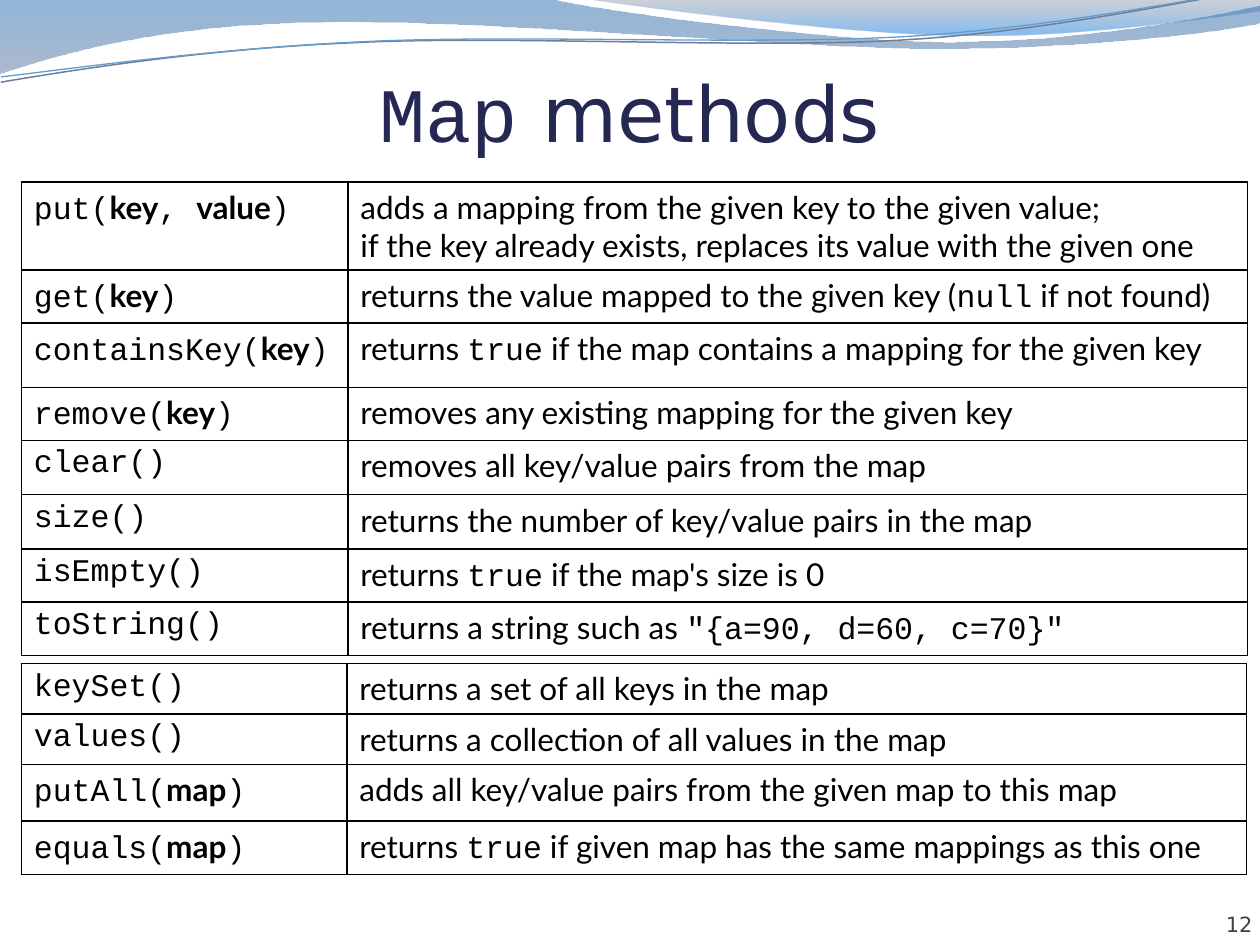
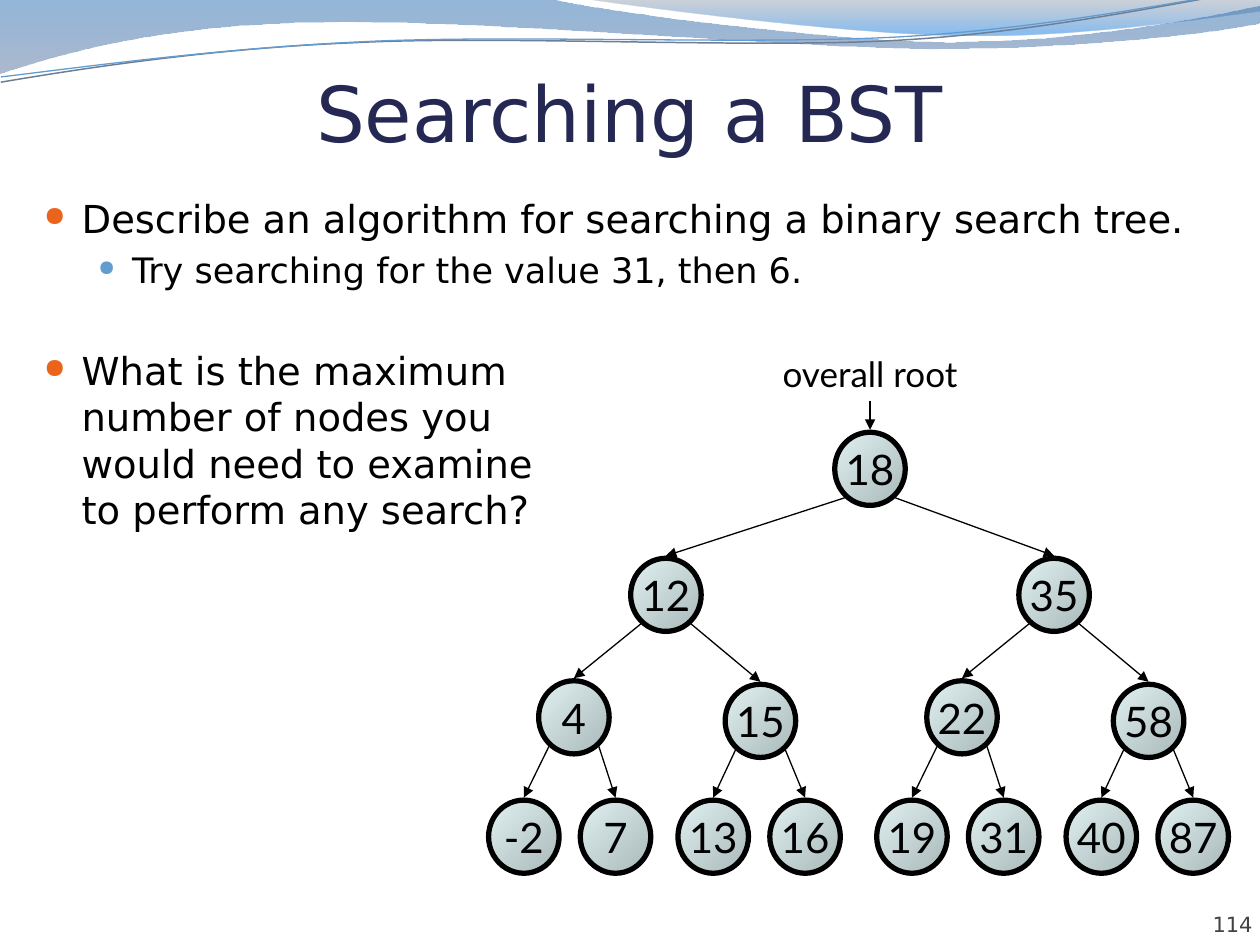
"""Build two lecture slides: the Map methods tables and searching a binary search tree."""
from itertools import cycle

from lxml.etree import SubElement
from pptx import Presentation
from pptx.dml.color import RGBColor
from pptx.enum.shapes import MSO_CONNECTOR, MSO_SHAPE
from pptx.enum.text import MSO_ANCHOR, PP_ALIGN
from pptx.oxml.ns import qn
from pptx.util import Pt

BLACK = RGBColor(0x00, 0x00, 0x00)
NAVY = RGBColor(0x24, 0x28, 0x52)
GREY = RGBColor(0x42, 0x42, 0x42)
ORANGE = RGBColor(0xEB, 0x64, 0x1B)
SKY = RGBColor(0x62, 0x9D, 0xD1)
SLATE = RGBColor(0x70, 0x7E, 0x95)
BAND_BLUE = RGBColor(0x12, 0x5E, 0xAA)
BAND_GREY = RGBColor(0x69, 0x7F, 0xA4)
CORNER_GREY = RGBColor(0x59, 0x69, 0x82)
CORNER_BLUE = RGBColor(0x06, 0x70, 0xDA)
NODE_LIGHT = RGBColor(0xE1, 0xF2, 0xF3)
NODE_DARK = RGBColor(0xA9, 0xB7, 0xB8)

SANS = "DejaVu Sans"
BODY = "Lato"
CODE = "Courier New"

WAVE_BANDS = [
    ([(0, 0), (317, 0), (343, 6.5, 478, 24, 546, 24), (614, 24, 690, 10, 720, 3.5),
      (720.5, 13.5), (708, 16.5, 626, 28, 537, 28), (448, 28, 275, 11, 185, 13),
      (93, 13.5, 33, 31, -0.5, 42), (0, 0)],
     [(0, BAND_BLUE, 45), (100, BAND_GREY, 55)]),
    ([(336, 0), (359, 3.5, 485, 19.5, 549, 20), (613, 21.5, 692, 10, 720, 6.5),
      (720, 0), (336, 0)],
     [(0, CORNER_GREY, 30), (80, CORNER_BLUE, 45)]),
]
WAVE_LINES = [
    ([(0.5, 47), (36, 41, 115, 28, 201, 24.5), (287, 20, 427, 28, 514, 23),
      (600, 18, 678, 0, 720, -6)], SLATE, 0.85),
    ([(0.5, 44), (35, 40, 120, 28, 205, 24), (291, 19.5, 430, 26, 516, 21),
      (602, 16, 678, -0.5, 720, -6)], SKY, 0.75),
]

MAIN_METHODS = [
    ("put(*key*, *value*)", "adds a mapping from the given key to the given value;\n"
     "if the key already exists, replaces its value with the given one", 50.4),
    ("get(*key*)", "returns the value mapped to the given key (`null` if not found)", 30.4),
    ("containsKey(*key*)", "returns `true` if the map contains a mapping for the given key", 36.6),
    ("remove(*key*)", "removes any existing mapping for the given key", 30.4),
    ("clear()", "removes all key/value pairs from the map", 31),
    ("size()", "returns the number of key/value pairs in the map", 31),
    ("isEmpty()", "returns `true` if the map's size is 0", 30.4),
    ("toString()", 'returns a string such as `"{a=90, d=60, c=70}"`', 30.4),
]
COLLECTION_METHODS = [
    ("keySet()", "returns a set of all keys in the map", 28.8),
    ("values()", "returns a collection of all values in the map", 28.8),
    ("putAll(*map*)", "adds all key/value pairs from the given map to this map", 32.4),
    ("equals(*map*)", "returns `true` if given map has the same mappings as this one", 30.4),
]

NODE_WIDTH, NODE_HEIGHT = 40.3, 41.8
SUBTREE_SHIFT = 221.8
LEFT_SUBTREE = [[(360.4, 319)], [(307.8, 389), (414.4, 391)],
                [(279.2, 457.2), (331.6, 457.2), (387.4, 457.2), (439.9, 457.2)]]
TREE_VALUES = [18, 12, 35, 4, 15, 22, 58, -2, 7, 13, 16, 19, 31, 40, 87]


def add_run(paragraph, text, font=SANS, size=18, color=BLACK, bold=False):
    """Add formatted text to a paragraph, with a line break at each newline."""
    for index, line in enumerate(text.split("\n")):
        if index:
            paragraph.add_line_break()
        run = paragraph.add_run()
        run.text = line
        run.font.name, run.font.size, run.font.bold = font, Pt(size), bold
        run.font.color.rgb = color


def add_marked_runs(paragraph, text, mark, formats, **shared):
    """Add text whose format alternates at each mark."""
    for part, format_options in zip(text.split(mark), cycle(formats)):
        if part:
            add_run(paragraph, part, **format_options, **shared)


def set_gradient(shape, stops, angle):
    """Fill a shape with a linear gradient of (position, colour, opacity) stops."""
    shape.fill.gradient()
    gradient = shape._element.spPr.find(qn("a:gradFill"))
    stop_list = gradient.find(qn("a:gsLst"))
    for stop in list(stop_list):
        stop_list.remove(stop)
    for position, color, opacity in stops:
        stop = SubElement(stop_list, qn("a:gs"), pos=str(position * 1000))
        color_element = SubElement(stop, qn("a:srgbClr"), val=str(color))
        if opacity < 100:
            SubElement(color_element, qn("a:alpha"), val=str(opacity * 1000))
    gradient.find(qn("a:lin")).set("ang", str(angle * 60000))


def add_outline(slide, steps, close):
    """Add a freeform of line steps (two numbers) and cubic curve steps (six numbers)."""
    points = [(Pt(x), Pt(y)) for step in steps for x, y in zip(step[::2], step[1::2])]
    builder = slide.shapes.build_freeform(*points[0])
    builder.add_line_segments(points[1:], close=close)
    shape = builder.convert_to_shape()
    shape.shadow.inherit = False
    segments = iter(list(shape._element.iter(qn("a:lnTo"))))
    for step in steps[1:]:
        segment = next(segments)
        if len(step) == 6:
            outline = segment.getparent()
            curve = SubElement(outline, qn("a:cubicBezTo"))
            outline.replace(segment, curve)
            for corner in (segment, next(segments), next(segments)):
                curve.append(corner[0])
                if corner is not segment:
                    outline.remove(corner)
    return shape


def add_waves(slide):
    """Draw the waves along the top and move them to the layout that all slides share."""
    waves = []
    for steps, stops in WAVE_BANDS:
        band = add_outline(slide, steps, close=True)
        set_gradient(band, stops, 90)
        band.line.fill.background()
        waves.append(band)
    for steps, color, width in WAVE_LINES:
        wave = add_outline(slide, steps, close=False)
        wave.fill.background()
        wave.line.color.rgb, wave.line.width = color, Pt(width)
        waves.append(wave)
    for wave in waves:
        slide.slide_layout.shapes._spTree.append(wave._element)


def add_textbox(slide, left, top, width, height, wrap=True):
    """Add an empty text box and return its text frame."""
    frame = slide.shapes.add_textbox(Pt(left), Pt(top), Pt(width), Pt(height)).text_frame
    frame.word_wrap = wrap
    return frame


def set_margins(frame, left=0, top=0, right=0, bottom=0):
    """Set the inner margins of a text frame or table cell."""
    frame.margin_left, frame.margin_top = Pt(left), Pt(top)
    frame.margin_right, frame.margin_bottom = Pt(right), Pt(bottom)


def add_titled_slide(presentation, title, number):
    """Add a slide with a title (code between backticks) and a page number."""
    slide = presentation.slides.add_slide(presentation.slide_layouts[5])
    placeholder = slide.shapes.title
    placeholder.left, placeholder.top = Pt(36), Pt(34.6)
    placeholder.width, placeholder.height = Pt(648), Pt(55.4)
    frame = placeholder.text_frame
    frame.vertical_anchor = MSO_ANCHOR.BOTTOM
    set_margins(frame, top=3.6)
    frame.paragraphs[0].alignment = PP_ALIGN.CENTER
    add_marked_runs(frame.paragraphs[0], title, "`", [{"font": SANS}, {"font": CODE}],
                    size=44, color=NAVY)

    footer = add_textbox(slide, 656, 506.2, 59.8, 28.8)
    footer.vertical_anchor = MSO_ANCHOR.BOTTOM
    set_margins(footer)
    footer.paragraphs[0].alignment = PP_ALIGN.RIGHT
    add_run(footer.paragraphs[0], str(number), size=12, color=GREY)
    return slide


def format_cell(cell):
    """Give a cell black borders, no fill and even margins."""
    properties = cell._tc.get_or_add_tcPr()
    for side in ("lnL", "lnR", "lnT", "lnB"):
        border = SubElement(properties, qn(f"a:{side}"), w=str(Pt(1)))
        SubElement(SubElement(border, qn("a:solidFill")), qn("a:srgbClr"), val=str(BLACK))
    cell.fill.background()
    set_margins(cell, 7.2, 3.6, 7.2, 3.6)


def add_method_table(slide, methods, top, column_widths):
    """Add a table of method signatures and what they do."""
    height = sum(row_height for _, _, row_height in methods)
    table = slide.shapes.add_table(len(methods), 2, Pt(12.2), Pt(top),
                                   Pt(sum(column_widths)), Pt(height)).table
    table.first_row = table.horz_banding = False
    for column, width in zip(table.columns, column_widths):
        column.width = Pt(width)
    for row, (signature, description, row_height) in zip(table.rows, methods):
        row.height = Pt(row_height)
        signature_cell, description_cell = row.cells
        format_cell(signature_cell)
        format_cell(description_cell)
        add_marked_runs(signature_cell.text_frame.paragraphs[0], signature, "*",
                        [{"font": CODE}, {"font": BODY, "bold": True}])
        add_marked_runs(description_cell.text_frame.paragraphs[0], description, "`",
                        [{"font": BODY}, {"font": CODE}])


def add_bullet(paragraph, text, size=22, margin=21.6, hanging=21.6, color=ORANGE,
               bullet_size=72, space_before=0):
    """Fill a paragraph as a bulleted item."""
    properties = paragraph._p.get_or_add_pPr()
    properties.set("marL", str(Pt(margin)))
    properties.set("indent", str(-Pt(hanging)))
    SubElement(SubElement(properties, qn("a:buClr")), qn("a:srgbClr"), val=str(color))
    SubElement(properties, qn("a:buSzPct"), val=str(bullet_size * 1000))
    SubElement(properties, qn("a:buChar"), char="●")
    if space_before:
        paragraph.space_before = Pt(space_before)
    add_run(paragraph, text, size=size)


def add_arrow(slide, start, end):
    """Draw a thin black arrow."""
    connector = slide.shapes.add_connector(
        MSO_CONNECTOR.STRAIGHT, *(Pt(value) for value in (*start, *end)))
    connector.line.color.rgb, connector.line.width = BLACK, Pt(0.75)
    SubElement(connector.line._get_or_add_ln(), qn("a:tailEnd"), type="triangle")
    SubElement(connector._element.spPr, qn("a:effectLst"))


def add_node(slide, value, left, top):
    """Draw one tree node."""
    node = slide.shapes.add_shape(MSO_SHAPE.OVAL, Pt(left), Pt(top),
                                  Pt(NODE_WIDTH), Pt(NODE_HEIGHT))
    node.shadow.inherit = False
    set_gradient(node, [(0, NODE_LIGHT, 100), (100, NODE_DARK, 100)], 45)
    node.line.color.rgb, node.line.width = BLACK, Pt(3)
    frame = node.text_frame
    frame.word_wrap = False
    frame.vertical_anchor = MSO_ANCHOR.MIDDLE
    frame.paragraphs[0].alignment = PP_ALIGN.CENTER
    add_run(frame.paragraphs[0], str(value), font=BODY, size=24)


def add_tree(slide):
    """Draw the search tree, whose right subtree repeats the left one's layout."""
    positions = [(477, 247)]
    for level in LEFT_SUBTREE:
        positions += level + [(left + SUBTREE_SHIFT, top) for left, top in level]
    for index, (value, (left, top)) in enumerate(zip(TREE_VALUES, positions)):
        add_node(slide, value, left, top)
        if index:
            parent_left, parent_top = positions[(index - 1) // 2]
            side = -14.2 if index % 2 else 14.2
            add_arrow(slide, (parent_left + NODE_WIDTH / 2 + side, parent_top + 37.4),
                      (left + NODE_WIDTH / 2, top - 1.4))
    label = add_textbox(slide, 439.6, 198, 115.2, 31, wrap=False)
    label.paragraphs[0].alignment = PP_ALIGN.CENTER
    add_run(label.paragraphs[0], "overall root", font=BODY, size=20)
    add_arrow(slide, (497.2, 229), (497.2, 245.6))


def build_map_slide(presentation):
    """Build the slide that lists the Map methods."""
    slide = add_titled_slide(presentation, "`Map` methods", 12)
    add_waves(slide)
    add_method_table(slide, MAIN_METHODS, 103.9, (186.6, 514))
    add_method_table(slide, COLLECTION_METHODS, 379.2, (186, 514))


def build_search_slide(presentation):
    """Build the slide about searching a binary search tree."""
    slide = add_titled_slide(presentation, "Searching a BST", 114)
    frame = add_textbox(slide, 18, 108, 702, 408)
    add_bullet(frame.paragraphs[0], "Describe an algorithm for searching a binary search tree.")
    add_bullet(frame.add_paragraph(), "Try searching for the value 31, then 6.", size=20,
               margin=50.4, hanging=19.4, color=SKY, bullet_size=62, space_before=4)
    add_bullet(frame.add_paragraph(), "What is the maximum\nnumber of nodes you\n"
               "would need to examine\nto perform any search?", space_before=32.5)
    add_tree(slide)


def main():
    """Create and save the presentation."""
    presentation = Presentation()
    presentation.slide_width, presentation.slide_height = Pt(720), Pt(540)
    build_map_slide(presentation)
    build_search_slide(presentation)
    presentation.save("out.pptx")


if __name__ == "__main__":
    main()
